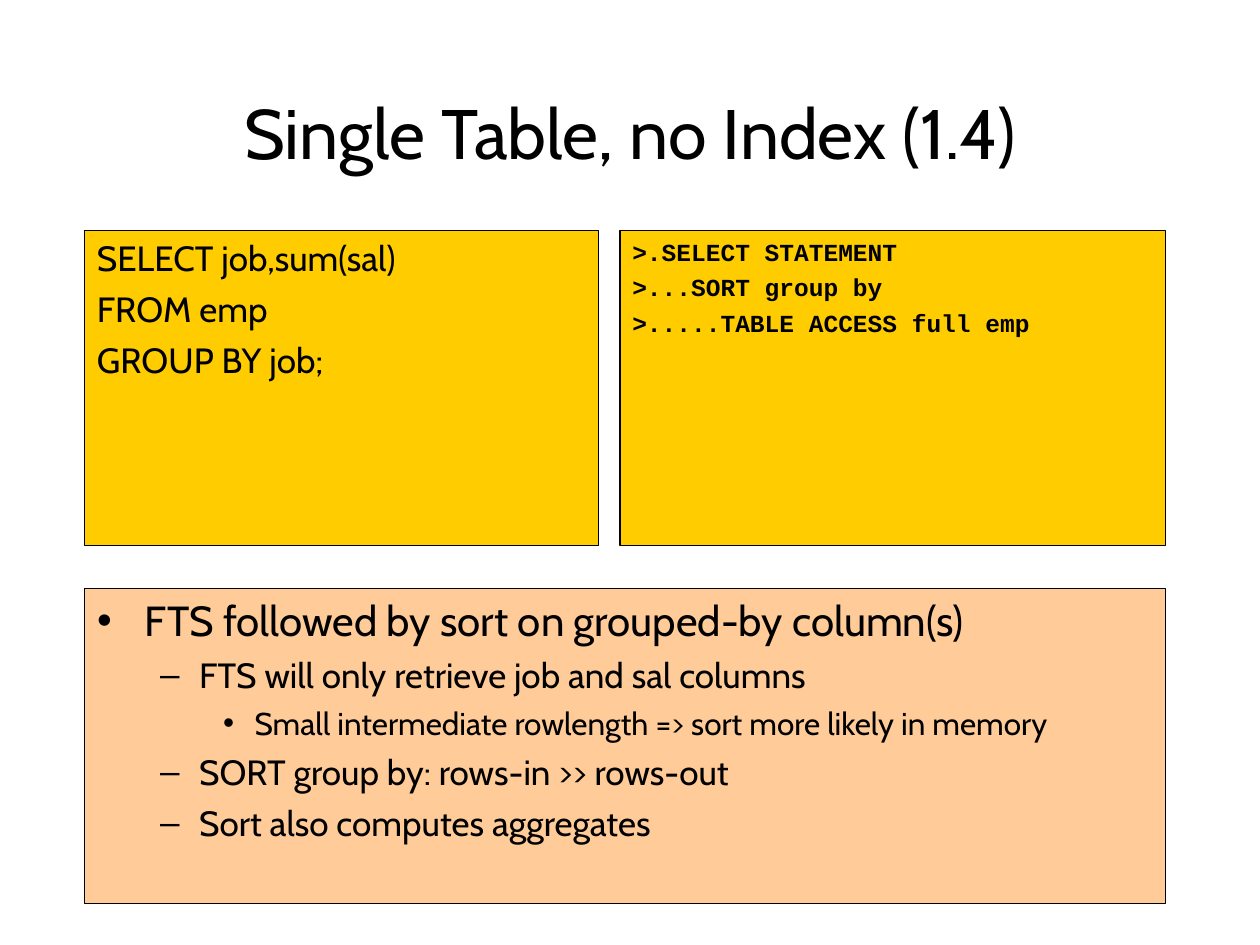
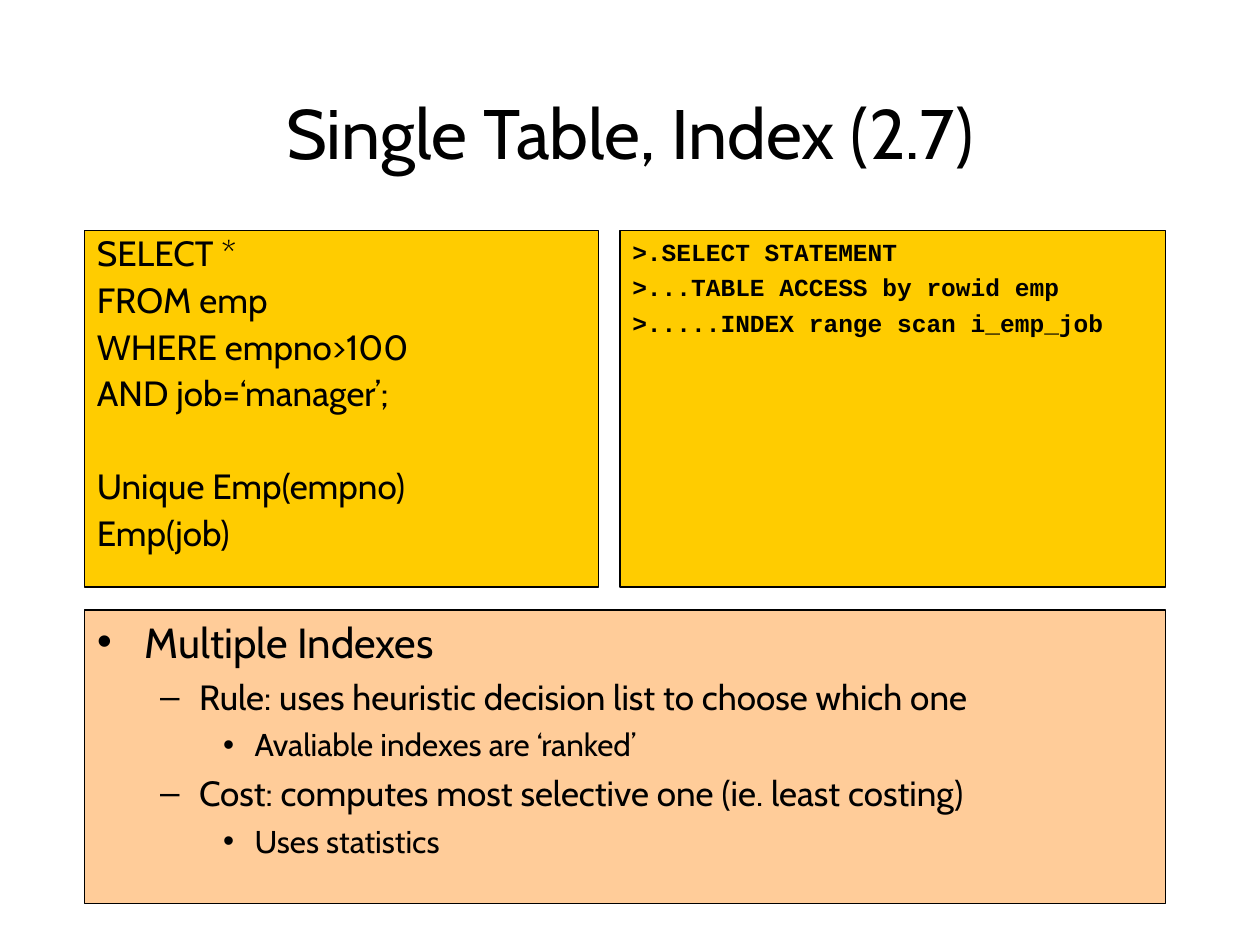
from dataclasses import dataclass

from pptx import Presentation
from pptx.dml.color import RGBColor as RGB
from pptx.enum.shapes import MSO_SHAPE as SHAPE
from pptx.enum.text import MSO_ANCHOR as ANCHOR, MSO_AUTO_SIZE as FIT, PP_ALIGN as ALIGN
from pptx.util import Inches, Pt


@dataclass(frozen=True)
class Theme:
    ink: RGB = RGB(0x00, 0x00, 0x00)
    code_fill: RGB = RGB(0xFF, 0xCC, 0x00)
    body_fill: RGB = RGB(0xFF, 0xCC, 0x99)
    sans: str = "Cabin"
    mono: str = "Courier New"
    title_size: int = 40
    sql_size: int = 20
    plan_size: int = 14
    level_sizes: tuple = (24, 20, 18)


T = Theme()
LEFT, RIGHT, TOP, BOTTOM = 0.67, 9.25, 1.83, 7.17
SQL_W, PLAN_X = 4.08, 4.92
INDENTS = ((0.38, 0.38), (0.81, 0.31), (1.25, 0.25))
LEVEL_GAPS = (6, 5, 4.5)
SQL_GAP, PLAN_GAP, BLOCK_GAP = 5, 3.5, 31.5

SLIDES = [
    {
        "title": "Single Table, no Index (1.4)",
        "code_h": 2.5,
        "body_h": 2.5,
        "sql_spacing": 1.0,
        "sql": [["SELECT job,sum(sal)", "FROM emp", "GROUP BY job;"]],
        "plan": [
            ">.SELECT STATEMENT",
            ">...SORT group by",
            ">.....TABLE ACCESS full emp",
        ],
        "body": [
            (0, "FTS followed by sort on grouped-by column(s)"),
            (1, "FTS will only retrieve job and sal columns"),
            (2, "Small intermediate rowlength => sort more likely in memory"),
            (1, "SORT group by: rows-in >> rows-out"),
            (1, "Sort also computes aggregates"),
        ],
    },
    {
        "title": "Single Table, Index (2.7)",
        "code_h": 2.83,
        "body_h": 2.33,
        "sql_spacing": 0.9,
        "sql": [
            ["SELECT *", "FROM emp", "WHERE empno>100", "AND job=‘manager’;"],
            ["Unique Emp(empno)", "Emp(job)"],
        ],
        "plan": [
            ">.SELECT STATEMENT",
            ">...TABLE ACCESS by rowid emp",
            ">.....INDEX range scan i_emp_job",
        ],
        "body": [
            (0, "Multiple Indexes"),
            (1, "Rule: uses heuristic decision list to choose which one"),
            (2, "Avaliable indexes are ‘ranked’"),
            (1, "Cost: computes most selective one (ie. least costing)"),
            (2, "Uses statistics"),
        ],
    },
]


def set_box(sp, x, y, w, h, fill=None, anchor=ANCHOR.TOP):
    for name, value in {"left": x, "top": y, "width": w, "height": h}.items():
        setattr(sp, name, Inches(value))
    frame = {"word_wrap": True, "auto_size": FIT.NONE, "vertical_anchor": anchor}
    for name, value in frame.items():
        setattr(sp.text_frame, name, value)
    if fill is not None:
        sp.fill.solid()
        sp.fill.fore_color.rgb = fill
        sp.line.color.rgb = T.ink
        sp.line.width = Pt(0.75)


def write(tf, lines, font, align=ALIGN.LEFT, spacing=1.0):
    for i, (text, size, level, gap) in enumerate(lines):
        p = tf.add_paragraph() if i else tf.paragraphs[0]
        layout = {
            "level": level or 0,
            "alignment": align,
            "line_spacing": spacing,
            "space_before": Pt(gap if i else 0),
        }
        for name, value in layout.items():
            setattr(p, name, value)
        if level is not None:
            margin, hang = INDENTS[level]
            pPr = p._p.get_or_add_pPr()
            pPr.set("marL", str(Inches(margin)))
            pPr.set("indent", str(-Inches(hang)))
        r = p.add_run()
        r.text = text
        for name, value in {**font, "size": Pt(size)}.items():
            setattr(r.font, name, value)
        r.font.color.rgb = T.ink


prs = Presentation()
prs.slide_width, prs.slide_height = Inches(10), Inches(7.5)
sans = {"name": T.sans, "bold": False}
mono = {"name": T.mono, "bold": True}

for page in SLIDES:
    s = prs.slides.add_slide(prs.slide_layouts[1])

    title = s.shapes.title
    set_box(title, 0.75, 0.67, 8.5, 0.75, anchor=ANCHOR.MIDDLE)
    write(title.text_frame, [(page["title"], T.title_size, None, 0)], sans, ALIGN.CENTER)

    body = s.placeholders[1]
    set_box(body, LEFT, BOTTOM - page["body_h"], RIGHT - LEFT, page["body_h"], T.body_fill)
    bullets = [(text, T.level_sizes[n], n, LEVEL_GAPS[n]) for n, text in page["body"]]
    write(body.text_frame, bullets, sans)

    plan = [(text, T.plan_size, 0, PLAN_GAP) for text in page["plan"]]
    sql = [
        (text, T.sql_size, 0, SQL_GAP if i else BLOCK_GAP)
        for block in page["sql"]
        for i, text in enumerate(block)
    ]
    for x, w, lines, font, spacing in (
        (PLAN_X, RIGHT - PLAN_X, plan, mono, 1.0),
        (LEFT, SQL_W, sql, sans, page["sql_spacing"]),
    ):
        sp = s.shapes.add_shape(SHAPE.RECTANGLE, 0, 0, 0, 0)
        sp.shadow.inherit = False
        set_box(sp, x, TOP, w, page["code_h"], T.code_fill)
        write(sp.text_frame, lines, font, spacing=spacing)

prs.save("out.pptx")
